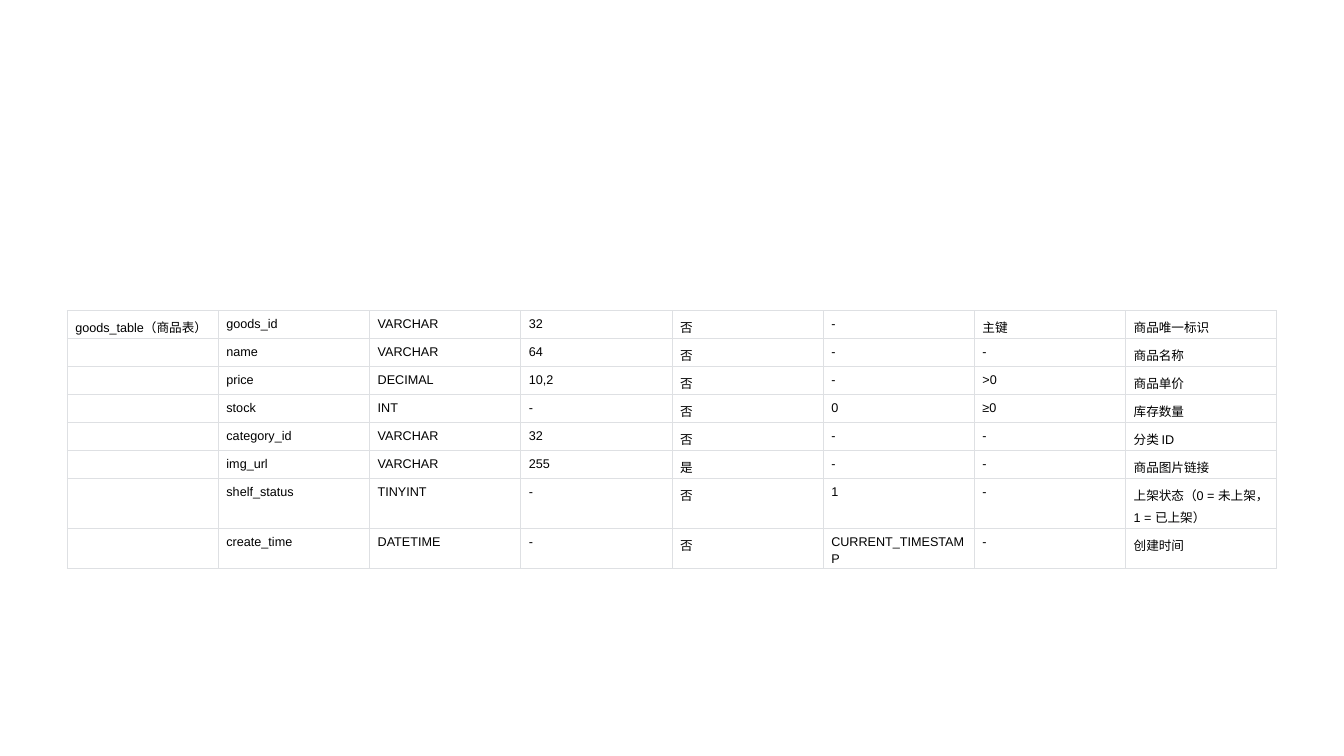
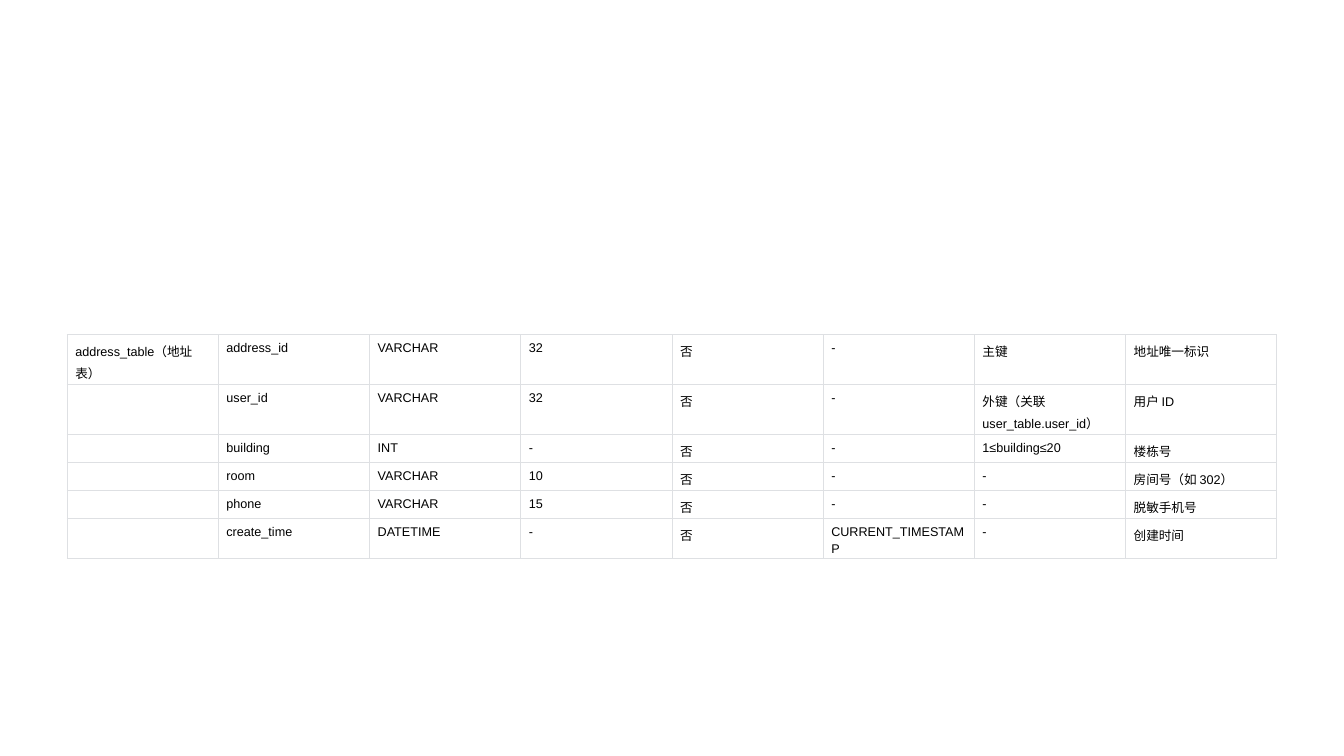
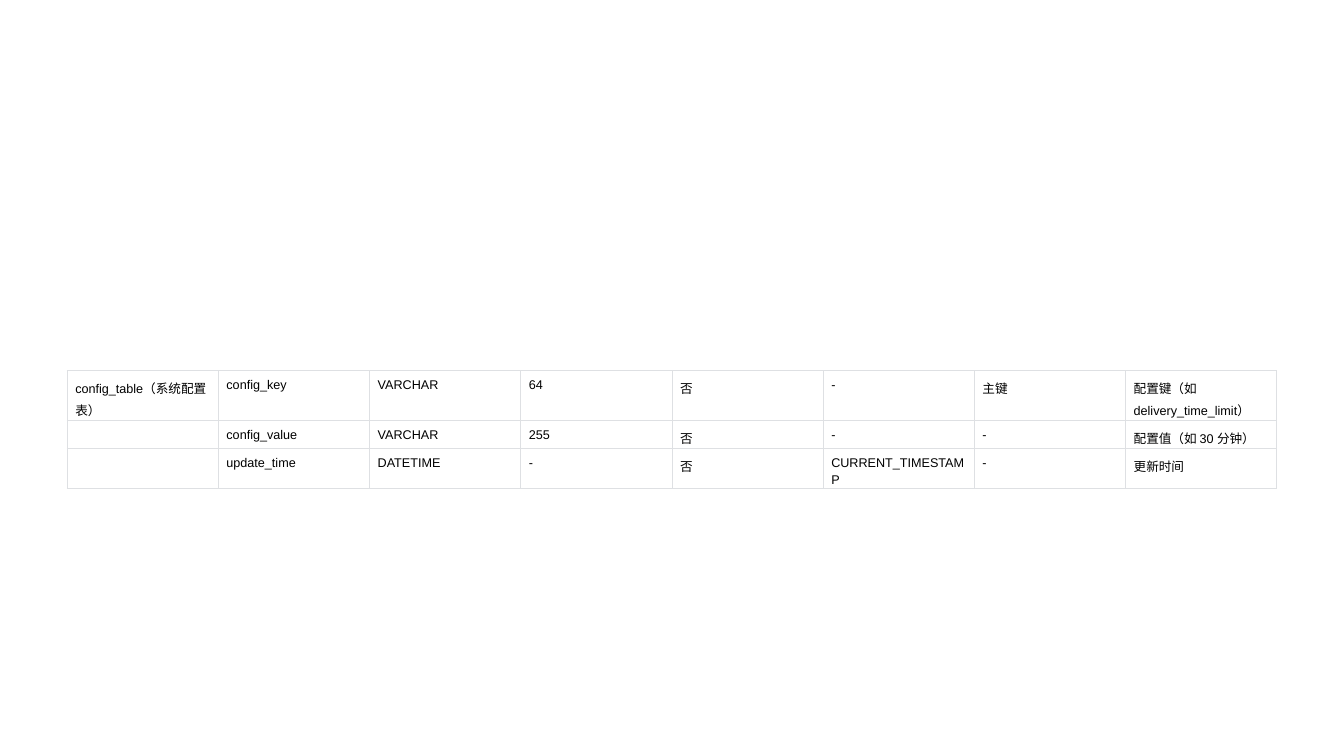
from lxml.etree import SubElement
from pptx import Presentation
from pptx.dml.color import RGBColor
from pptx.oxml import parse_xml
from pptx.oxml.ns import nsdecls, qn
from pptx.util import Inches, Pt

# Shared style
BLACK = RGBColor(0x00, 0x00, 0x00)
BORDER = RGBColor(0xDE, 0xE0, 0xE3)
LATIN_FONT = "Arial"
CHINESE_FONT = "Noto Sans CJK SC"
TEXT_SIZE = Pt(9)
BORDER_WIDTH = Pt(0.75)
COLUMN_COUNT = 8
SINGLE_ROW = Inches(0.22)
DOUBLE_ROW = Inches(0.39)

# Each table: name, top in inches, index of its two-line row, then the fields:
# field, type, length, nullable, default, constraint, description
TABLES = [
    ("goods_table（商品表）", 3.08, 6, [
        ("goods_id", "VARCHAR", "32", "否", "-", "主键", "商品唯一标识"),
        ("name", "VARCHAR", "64", "否", "-", "-", "商品名称"),
        ("price", "DECIMAL", "10,2", "否", "-", ">0", "商品单价"),
        ("stock", "INT", "-", "否", "0", "≥0", "库存数量"),
        ("category_id", "VARCHAR", "32", "否", "-", "-", "分类 ID"),
        ("img_url", "VARCHAR", "255", "是", "-", "-", "商品图片链接"),
        ("shelf_status", "TINYINT", "-", "否", "1", "-",
         "上架状态（0 = 未上架，1 = 已上架）"),
        ("create_time", "DATETIME", "-", "否", "CURRENT_TIMESTAMP", "-", "创建时间"),
    ]),
    ("address_table（地址表）", 3.32, 1, [
        ("address_id", "VARCHAR", "32", "否", "-", "主键", "地址唯一标识"),
        ("user_id", "VARCHAR", "32", "否", "-",
         "外键（关联 user_table.user_id）", "用户 ID"),
        ("building", "INT", "-", "否", "-", "1≤building≤20", "楼栋号"),
        ("room", "VARCHAR", "10", "否", "-", "-", "房间号（如 302）"),
        ("phone", "VARCHAR", "15", "否", "-", "-", "脱敏手机号"),
        ("create_time", "DATETIME", "-", "否", "CURRENT_TIMESTAMP", "-", "创建时间"),
    ]),
    ("config_table（系统配置表）", 3.68, 0, [
        ("config_key", "VARCHAR", "64", "否", "-", "主键",
         "配置键（如 delivery_time_limit）"),
        ("config_value", "VARCHAR", "255", "否", "-", "-", "配置值（如 30 分钟）"),
        ("update_time", "DATETIME", "-", "否", "CURRENT_TIMESTAMP", "-", "更新时间"),
    ]),
]


def split_by_script(text):
    """Return [font, text] pairs; a space stays with the script before it."""
    pieces = []
    for character in text:
        font = CHINESE_FONT if character >= "\u3000" else LATIN_FONT
        if pieces and (character == " " or pieces[-1][0] == font):
            pieces[-1][1] += character
        else:
            pieces.append([font, character])
    return pieces


def fill_cell(cell, text):
    """Write one cell with its margins, borders and runs."""
    cell.margin_left = cell.margin_right = Inches(0.08)
    cell.margin_top = Inches(0.04)
    cell.margin_bottom = Inches(0.02)
    cell.fill.background()
    properties = cell._tc.get_or_add_tcPr()
    for position, side in enumerate(("lnL", "lnR", "lnT", "lnB")):
        properties.insert(position, parse_xml(
            f'<a:{side} {nsdecls("a")} w="{BORDER_WIDTH}"><a:solidFill>'
            f'<a:srgbClr val="{BORDER}"/></a:solidFill></a:{side}>'))

    paragraph = cell.text_frame.paragraphs[0]
    paragraph.line_spacing = 1.2
    paragraph.space_after = Pt(6)
    for font, piece in split_by_script(text):
        run = paragraph.add_run()
        run.text = piece
        run.font.size = TEXT_SIZE
        run.font.color.rgb = BLACK
        run.font.name = font
        SubElement(run.font._element, qn("a:ea"), typeface=font)
    if not text:
        # Keeps an empty cell as low as its row
        SubElement(paragraph._p, qn("a:endParaRPr"),
                   sz=str(int(TEXT_SIZE.pt * 100)))


presentation = Presentation()
presentation.slide_width = Inches(13.33)
presentation.slide_height = Inches(7.5)
table_left = int(presentation.slide_width * 0.05)
table_width = int(presentation.slide_width * 0.9)

# One slide per database table
for table_name, top, double_row, fields in TABLES:
    slide = presentation.slides.add_slide(presentation.slide_layouts[6])
    heights = [DOUBLE_ROW if index == double_row else SINGLE_ROW
               for index in range(len(fields))]
    shape = slide.shapes.add_table(len(fields), COLUMN_COUNT, table_left,
                                   Inches(top), table_width, sum(heights))
    table = shape.table
    table.first_row = False
    table.horz_banding = False

    for row_index, field in enumerate(fields):
        table.rows[row_index].height = heights[row_index]
        label = table_name if row_index == 0 else ""
        for column_index, text in enumerate((label, *field)):
            fill_cell(table.cell(row_index, column_index), text)

presentation.save("out.pptx")
